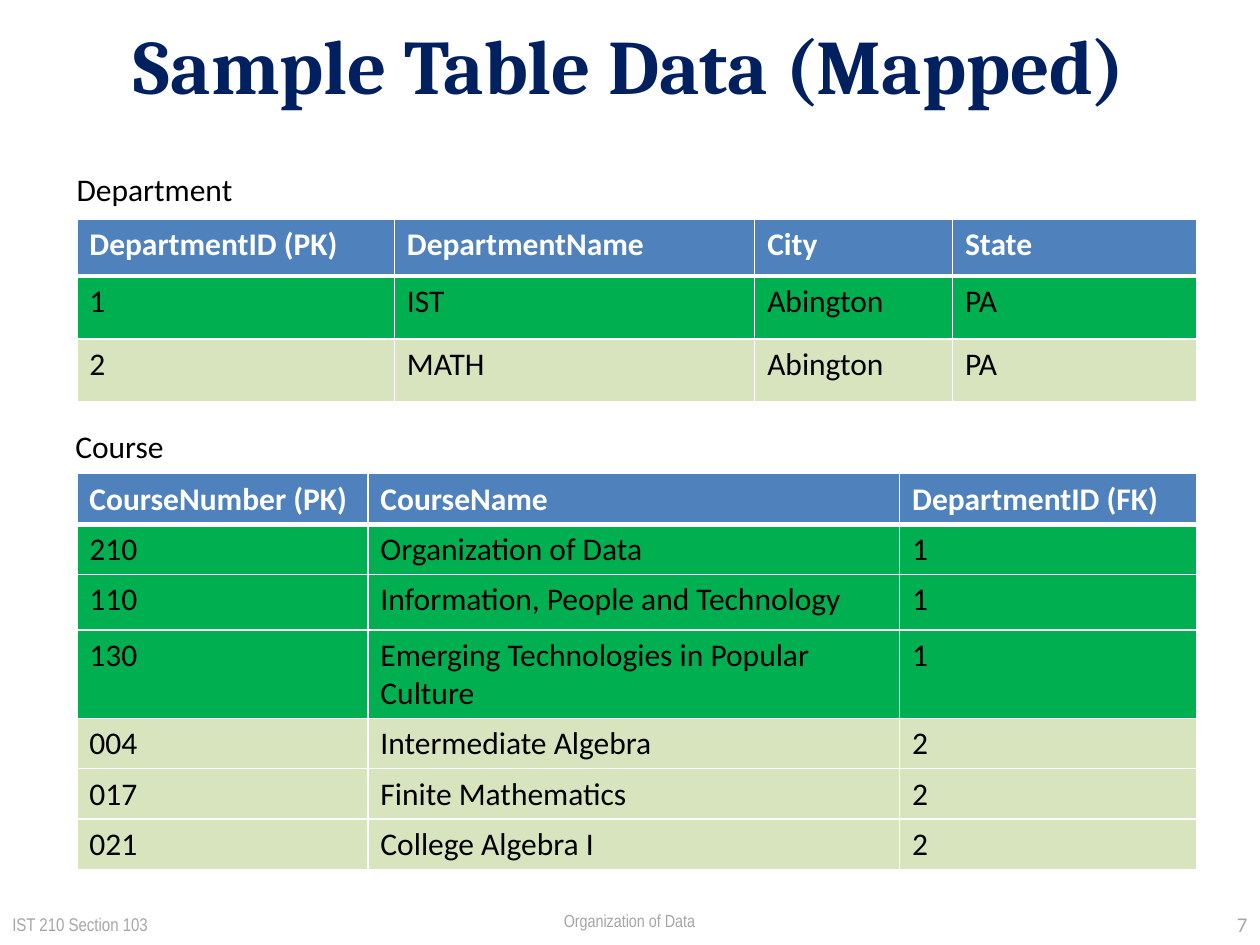
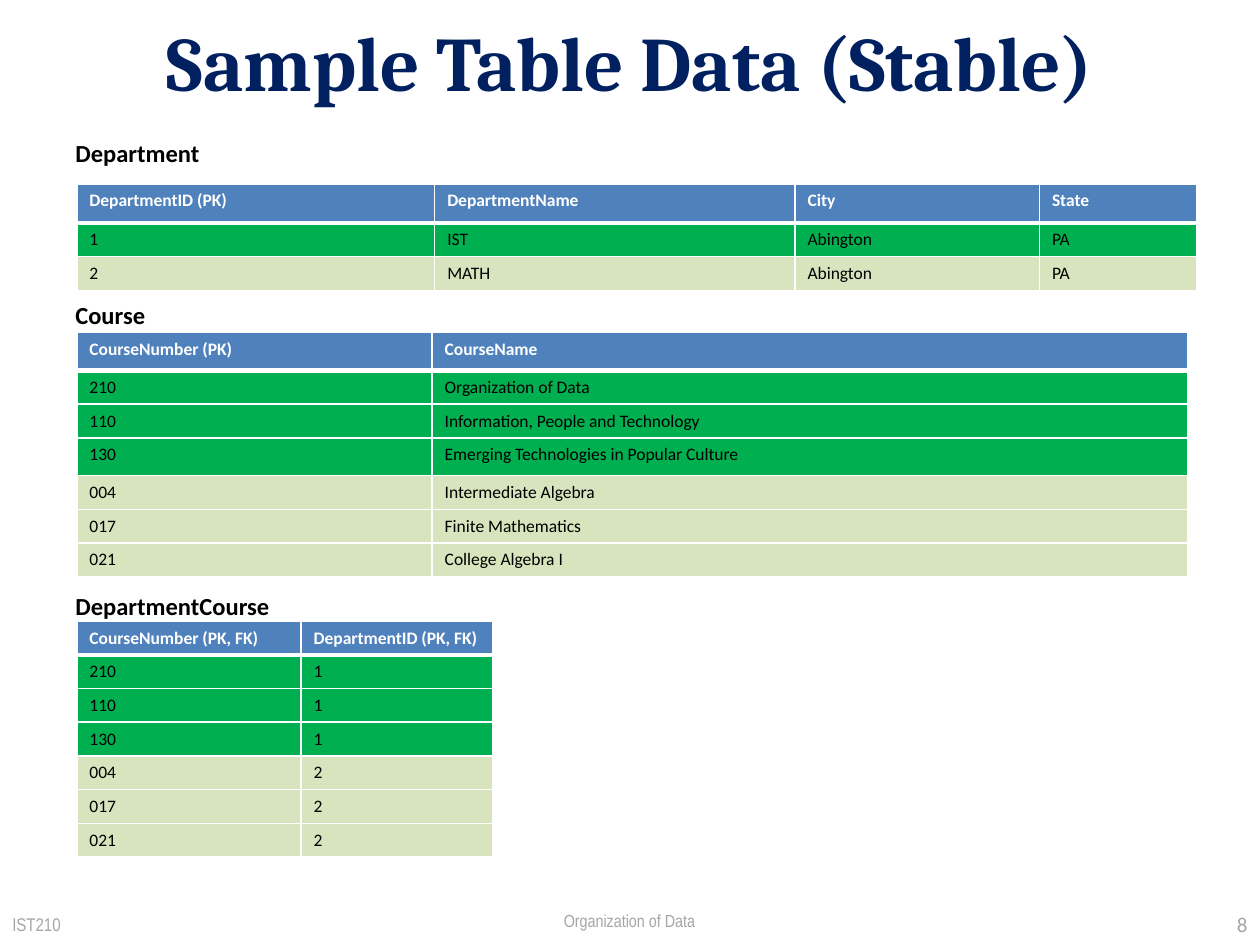
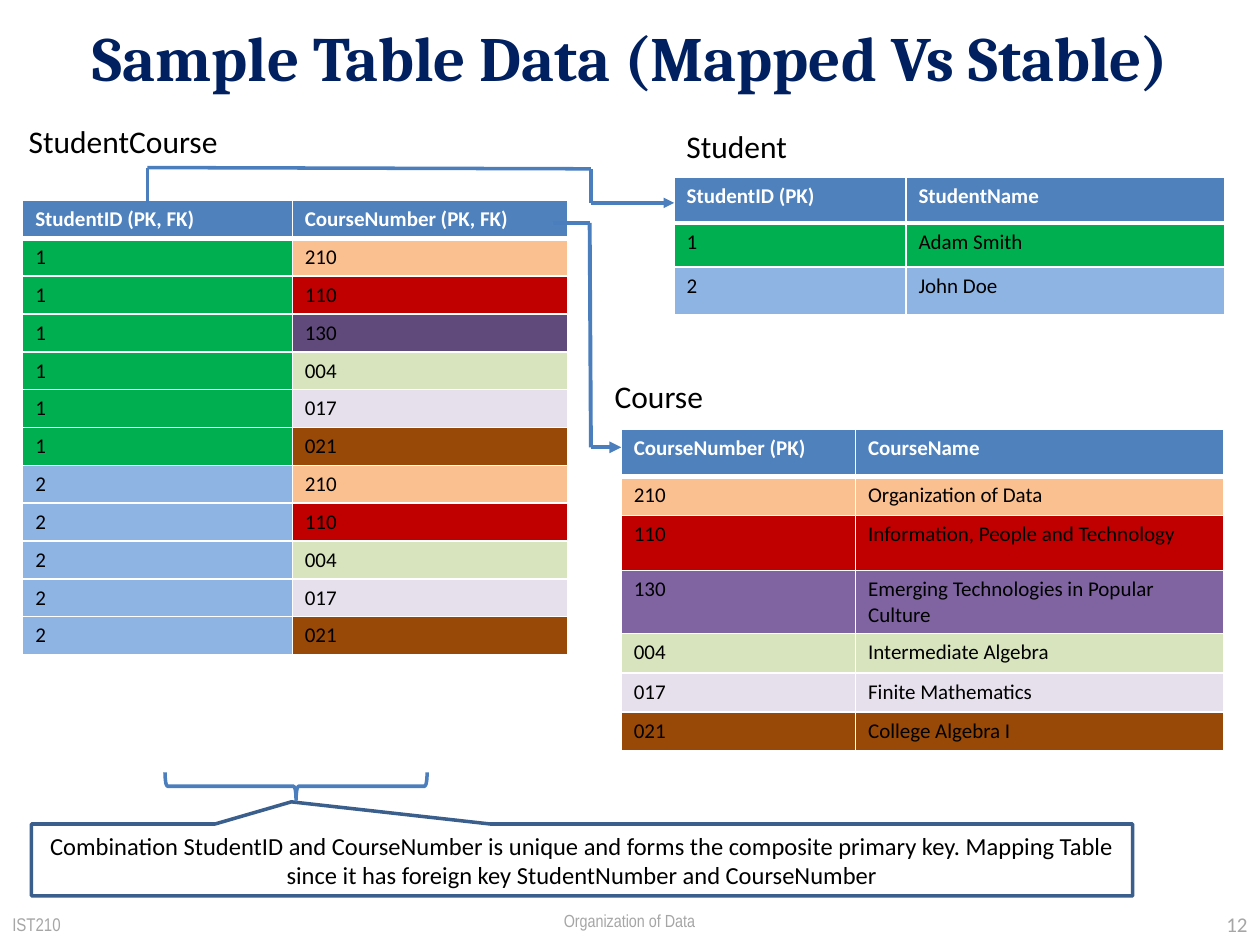
"""Build three slides of sample relational table data with shared titles, footers and tables."""
import itertools

import pptx
import pptx.dml.color
import pptx.enum.shapes
import pptx.enum.text
import pptx.oxml
import pptx.oxml.ns
import pptx.util

ALIGN = pptx.enum.text.PP_ALIGN
ANCHOR = pptx.enum.text.MSO_ANCHOR
SHAPE = pptx.enum.shapes.MSO_SHAPE

THEME = {
    "colours": {
        "white": "FFFFFF", "black": "000000", "navy": "002060", "grey": "A6A6A6",
        "header": "4F81BD", "link": "4B7EBC", "outline": "3A5F8C",
        "green": "00B050", "lime": "D7E4BD", "sky": "8EB4E3", "peach": "FAC090",
        "red": "C00000", "plum": "604A7B", "violet": "8064A2", "mist": "E6E0EC",
        "brown": "984807",
    },
    "title": {"name": "Cambria", "bold": True, "colour": "navy"},
    "body": {"name": "Calibri", "bold": False, "colour": "black"},
    "header": {"name": "Calibri", "bold": True, "colour": "white"},
    "footer": {"name": "Arial Narrow", "bold": False, "colour": "grey"},
    "number": {"name": "Calibri", "bold": False, "colour": "grey"},
    "sizes": {"section": 10.5, "course": 10, "number": 12, "callout": 14},
}
COLOURS = {
    name: pptx.dml.color.RGBColor.from_string(value)
    for name, value in THEME["colours"].items()
}
SIZES = THEME["sizes"]

deck = pptx.Presentation()
deck.slide_width = pptx.util.Inches(10)
deck.slide_height = pptx.util.Inches(7.5)
COLUMN = deck.slide_width / 10
ROW = deck.slide_height / 7.5


def place(left, top, width, height):
    """Turn grid columns and rows into slide lengths."""
    return int(left * COLUMN), int(top * ROW), int(width * COLUMN), int(height * ROW)


def write(frame, text, style, size, align=ALIGN.LEFT):
    """Fill a text frame with one paragraph in a theme style."""
    frame.word_wrap = True
    para = frame.paragraphs[0]
    para.alignment = align
    span = para.add_run()
    span.text = text
    formats = {"name": THEME[style]["name"], "bold": THEME[style]["bold"],
               "size": pptx.util.Pt(size)}
    for attribute, value in formats.items():
        setattr(span.font, attribute, value)
    span.font.color.rgb = COLOURS[THEME[style]["colour"]]


courses = {
    "210": "Organization of Data",
    "110": "Information, People and Technology",
    "130": "Emerging Technologies in Popular Culture",
    "004": "Intermediate Algebra",
    "017": "Finite Mathematics",
    "021": "College Algebra I",
}
owners = dict(zip(courses, "111222"))
department_rows = [("1", "IST", "Abington", "PA"), ("2", "MATH", "Abington", "PA")]
department_header = ("DepartmentID (PK)", "DepartmentName", "City", "State")
department_fills = [["green"], ["lime"]]
owner_fills = [["green"]] * 3 + [["lime"]] * 3
course_colours = dict(zip(courses, ("peach", "red", "violet", "lime", "mist", "brown")))
student_colours = {"1": "green", "2": "sky"}
enrolments = [(student, number) for student, number in itertools.product("12", courses)
              if (student, number) != ("2", "130")]
enrolment_colours = {**course_colours, "130": "plum"}

slides = [
    {
        "title": "Sample Table Data (Mapped)", "size": 44, "height": 1.01,
        "section": "IST 210 Section 103", "number": "7",
        "label_style": "body", "label_size": 18, "cell_size": 18,
        "labels": [("Department", 0.51, 1.3, 1.7), ("Course", 0.5, 3.34, 2.57)],
        "tables": [
            {"at": (0.61, 1.74), "columns": (2.52, 2.86, 1.57, 1.94),
             "heights": (0.45, 0.5, 0.5), "header": department_header,
             "rows": department_rows, "fills": department_fills},
            {"at": (0.61, 3.76), "columns": (2.31, 4.22, 2.36),
             "heights": (0.31, 0.31, 0.44, 0.44, 0.31, 0.31, 0.31),
             "header": ("CourseNumber (PK)", "CourseName", "DepartmentID (FK)"),
             "rows": [(number, name, owners[number]) for number, name in courses.items()],
             "fills": owner_fills},
        ],
    },
    {
        "title": "Sample Table Data (Stable)", "size": 44, "height": 0.97,
        "section": "IST210", "number": "8",
        "label_style": "body", "label_size": 14, "label_bold": True, "cell_size": 10,
        "labels": [("Department", 0.5, 1.05, 1.7), ("Course", 0.5, 2.33, 2.57),
                   ("DepartmentCourse", 0.5, 4.64, 3.76)],
        "tables": [
            {"at": (0.61, 1.46), "columns": (2.84, 2.86, 1.94, 1.25),
             "heights": (0.31, 0.23, 0.23), "header": department_header,
             "rows": department_rows, "fills": department_fills},
            {"at": (0.61, 2.64), "columns": (2.82, 6),
             "heights": (0.3, 0.24, 0.24, 0.3, 0.24, 0.24, 0.24),
             "header": ("CourseNumber (PK)", "CourseName"),
             "rows": list(courses.items()), "fills": owner_fills},
            {"at": (0.61, 4.93), "columns": (1.78, 1.52), "heights": [0.23] * 7,
             "header": ("CourseNumber (PK, FK)", "DepartmentID (PK, FK)"),
             "rows": list(owners.items()), "fills": owner_fills},
        ],
    },
    {
        "title": "Sample Table Data (Mapped Vs Stable)", "size": 36, "height": 0.9,
        "section": "IST210", "number": "12",
        "label_style": "body", "label_size": 18, "cell_size": 12,
        "labels": [("Student", 5.35, 0.96, 1.14), ("Course", 4.78, 2.94, 1.14),
                   ("StudentCourse", 0.13, 0.92, 1.87)],
        "tables": [
            {"at": (0.18, 1.59), "columns": (2.14, 2.19), "heights": [0.22] * 12,
             "header": ("StudentID (PK, FK)", "CourseNumber (PK, FK)"),
             "rows": enrolments,
             "fills": [(student_colours[student], enrolment_colours[number])
                       for student, number in enrolments]},
            {"at": (5.35, 1.41), "columns": (1.84, 2.53), "heights": (0.36, 0.35, 0.38),
             "header": ("StudentID (PK)", "StudentName"),
             "rows": [("1", "Adam Smith"), ("2", "John Doe")],
             "fills": [[colour] for colour in student_colours.values()]},
            {"at": (4.93, 3.41), "columns": (1.86, 2.92),
             "heights": (0.37, 0.31, 0.44, 0.44, 0.31, 0.31, 0.31),
             "header": ("CourseNumber (PK)", "CourseName"),
             "rows": list(courses.items()),
             "fills": [[colour] for colour in course_colours.values()]},
        ],
    },
]

for content in slides:
    page = deck.slides.add_slide(deck.slide_layouts[5])
    title = page.shapes.title
    title.left, title.top, title.width, title.height = place(0.5, 0, 9, content["height"])
    title.text_frame.vertical_anchor = ANCHOR.MIDDLE
    write(title.text_frame, content["title"], "title", content["size"], ALIGN.CENTER)

    footers = [
        (content["section"], 0, 2.83, 0.33, "footer", SIZES["section"], ALIGN.LEFT, ANCHOR.MIDDLE),
        ("Organization of Data", 2.83, 4.33, 0.31, "footer", SIZES["course"], ALIGN.CENTER,
         ANCHOR.TOP),
        (content["number"], 7.17, 2.83, 0.33, "number", SIZES["number"], ALIGN.RIGHT,
         ANCHOR.MIDDLE),
    ]
    for text, left, width, height, style, size, align, anchor in footers:
        box = page.shapes.add_textbox(*place(left, 7.17, width, height))
        box.text_frame.vertical_anchor = anchor
        write(box.text_frame, text, style, size, align)

    for layout in content["tables"]:
        lines = [layout["header"], *layout["rows"]]
        fills = [["header"], *layout["fills"]]
        frame = page.shapes.add_table(
            len(lines), len(layout["columns"]),
            *place(*layout["at"], sum(layout["columns"]), sum(layout["heights"])))
        table = frame.table
        table.horz_banding = False
        for column, width in zip(table.columns, layout["columns"]):
            column.width = int(width * COLUMN)
        for index, (row, height) in enumerate(zip(table.rows, layout["heights"])):
            row.height = int(height * ROW)
            style = "body" if index else "header"
            for cell, text, fill in zip(row.cells, lines[index], itertools.cycle(fills[index])):
                write(cell.text_frame, text, style, content["cell_size"])
                properties = cell._tc.get_or_add_tcPr()
                for side in "LRTB":
                    heavy = (index, side) in ((0, "B"), (1, "T"))
                    properties.append(pptx.oxml.parse_xml(
                        f'<a:ln{side} {pptx.oxml.ns.nsdecls("a")} '
                        f'w="{pptx.util.Pt(3 if heavy else 1)}"><a:solidFill>'
                        f'<a:srgbClr val="{COLOURS["white"]}"/></a:solidFill></a:ln{side}>'))
                cell.fill.solid()
                cell.fill.fore_color.rgb = COLOURS[fill]

    for text, left, top, width in content["labels"]:
        box = page.shapes.add_textbox(*place(left, top, width, 0.02 * content["label_size"] + 0.05))
        write(box.text_frame, text, content["label_style"], content["label_size"])
        box.text_frame.paragraphs[0].runs[0].font.bold = content.get("label_bold", False)
        box.text_frame.auto_size = pptx.enum.text.MSO_AUTO_SIZE.SHAPE_TO_FIT_TEXT

callout = page.shapes.add_shape(SHAPE.RECTANGULAR_CALLOUT, *place(0.25, 6.54, 8.74, 0.57))
callout.adjustments[0], callout.adjustments[1] = -0.264, -0.809
callout.fill.solid()
callout.fill.fore_color.rgb = COLOURS["white"]
callout.text_frame.vertical_anchor = ANCHOR.MIDDLE
write(callout.text_frame,
      "Combination StudentID and CourseNumber is unique and forms the composite primary key. "
      "Mapping Table since it has foreign key StudentNumber and CourseNumber",
      "body", SIZES["callout"], ALIGN.CENTER)

brace = page.shapes.add_shape(SHAPE.LEFT_BRACE, *place(2.24, 5.2, 0.22, 2.08))
brace.rotation = 270
brace.fill.background()
for shape, colour in ((callout, "outline"), (brace, "link")):
    shape.shadow.inherit = False
    shape.line.color.rgb = COLOURS[colour]
    shape.line.width = pptx.util.Pt(2)

key_routes = [
    (2.25, [(4.39, 1.77), (4.68, 1.77), (4.69, 3.55), (4.93, 3.55)]),
    (2, [(1.17, 1.61), (1.17, 1.33), (4.69, 1.34), (4.69, 1.61), (5.35, 1.61)]),
]
for weight, points in key_routes:
    for start, end in zip(points, points[1:]):
        link = page.shapes.add_connector(
            pptx.enum.shapes.MSO_CONNECTOR.STRAIGHT, *place(*start, *end))
        link.line.color.rgb = COLOURS["link"]
        link.line.width = pptx.util.Pt(weight)
        properties = link.element.spPr
        if end == points[-1]:
            properties.find(pptx.oxml.ns.qn("a:ln")).append(pptx.oxml.parse_xml(
                f'<a:tailEnd {pptx.oxml.ns.nsdecls("a")} type="triangle"/>'))
        properties.append(pptx.oxml.parse_xml(f'<a:effectLst {pptx.oxml.ns.nsdecls("a")}/>'))

deck.save("out.pptx")
